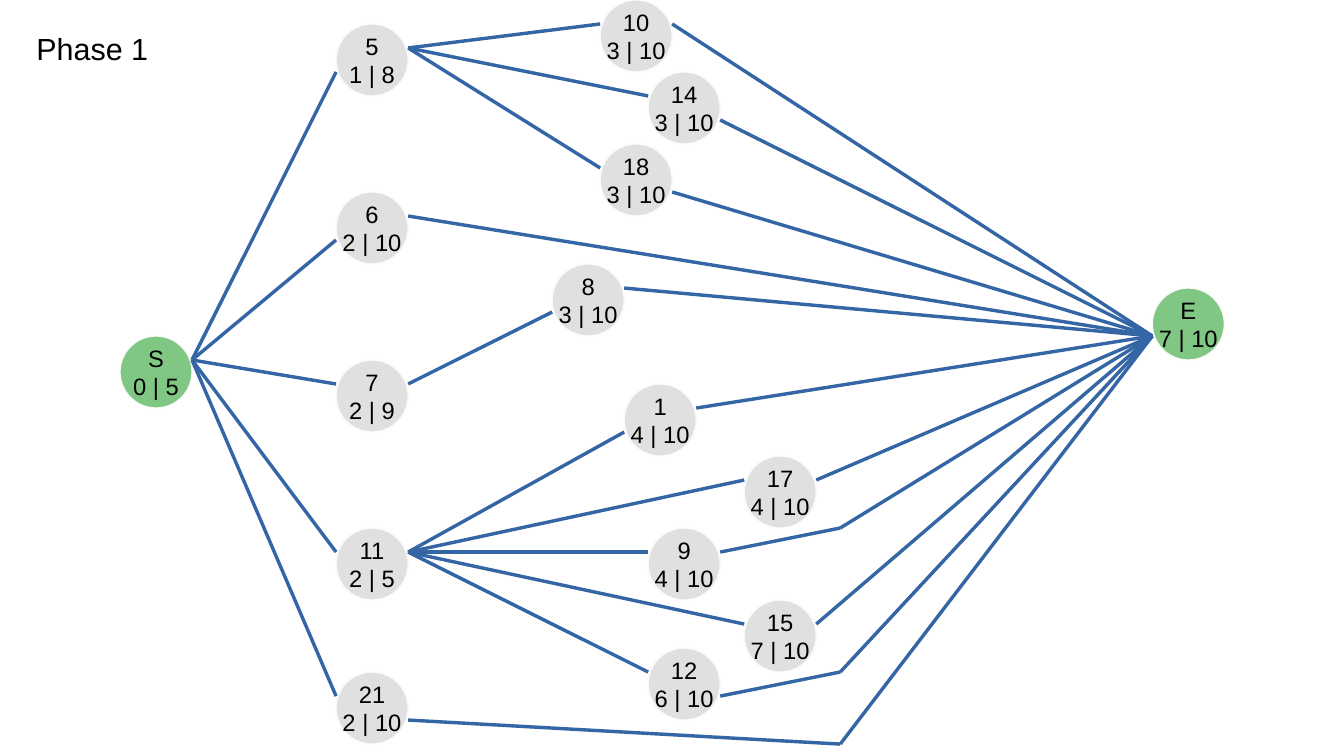
from lxml import etree
from pptx import Presentation
from pptx.dml.color import RGBColor
from pptx.enum.shapes import MSO_CONNECTOR, MSO_SHAPE
from pptx.enum.text import MSO_ANCHOR, PP_ALIGN
from pptx.oxml.ns import qn
from pptx.util import Inches, Pt

OVAL = MSO_SHAPE.OVAL
STRAIGHT = MSO_CONNECTOR.STRAIGHT
MIDDLE = MSO_ANCHOR.MIDDLE
CENTER = PP_ALIGN.CENTER

FONT = "Arial"
GRID = 0.5 / 2.54
DIAMETER = 3
BEND_COL = 35
GREEN, GREY, EDGE, OUTLINE, BLACK = "81C784", "E0E0E0", "3465A4", "FAFAFA", "000000"

# name: (values, column, row, entry offset, exit offset)
NODES = {
    "S": ("0 | 5", 5, 14, 1, 1),
    "5": ("1 | 8", 14, 1, 2, 1),
    "6": ("2 | 10", 14, 8, 2, 1),
    "7": ("2 | 9", 14, 15, 1, 1),
    "11": ("2 | 5", 14, 22, 1, 1),
    "21": ("2 | 10", 14, 28, 1, 2),
    "10": ("3 | 10", 25, 0, 1, 1),
    "14": ("3 | 10", 27, 3, 1, 2),
    "18": ("3 | 10", 25, 6, 1, 2),
    "8": ("3 | 10", 23, 11, 2, 1),
    "1": ("4 | 10", 26, 16, 2, 1),
    "12": ("6 | 10", 27, 27, 1, 2),
    "9": ("4 | 10", 27, 22, 1, 1),
    "17": ("4 | 10", 31, 19, 1, 1),
    "15": ("7 | 10", 31, 25, 1, 1),
    "E": ("7 | 10", 48, 12, 2, 2),
}
SUCCESSORS = {
    "S": ["5", "6", "7", "11", "21"],
    "5": ["10", "14", "18"],
    "7": ["8"],
    "11": ["1", "17", "9", "15", "12"],
}
BEND_ROWS = {"9": 22, "12": 28, "21": 31}


def rgb(value):
    return RGBColor.from_string(value)


def set_font(p, size):
    p.font.name = FONT
    p.font.size = Pt(size)
    p.font.color.rgb = rgb(BLACK)


def add_title(s, x, y, w, h, text):
    tf = s.shapes.add_textbox(Inches(x), Inches(y), Inches(w), Inches(h)).text_frame
    tf.word_wrap = True
    tf.text = text
    set_font(tf.paragraphs[0], 18)


def add_node(s, x, y, size, name, values, fill):
    sp = s.shapes.add_shape(OVAL, Inches(x), Inches(y), Inches(size), Inches(size))
    sp.shadow.inherit = False
    sp.fill.solid()
    sp.fill.fore_color.rgb = rgb(fill)
    sp.line.color.rgb = rgb(OUTLINE)
    sp.line.width = Pt(0)
    tf = sp.text_frame
    tf.word_wrap = False
    tf.vertical_anchor = MIDDLE
    tf.text = f"{name}\n{values}"
    for p in tf.paragraphs:
        p.alignment = CENTER
        set_font(p, 14)


def add_edge(s, x, y, points):
    for (x1, y1), (x2, y2) in zip(points, points[1:]):
        line = s.shapes.add_connector(
            STRAIGHT, Inches(x + x1 * GRID), Inches(y + y1 * GRID),
            Inches(x + x2 * GRID), Inches(y + y2 * GRID))
        line.line.color.rgb = rgb(EDGE)
        line.line.width = Pt(0)
        etree.SubElement(line._element.spPr, qn("a:effectLst"))


def entry_port(name):
    _, col, row, entry, _ = NODES[name]
    return col, row + entry


def exit_port(name):
    _, col, row, _, leave = NODES[name]
    return col + DIAMETER, row + leave


def add_network(s, x, y):
    for name, (values, col, row, _, _) in NODES.items():
        fill = GREEN if name in ("S", "E") else GREY
        add_node(s, x + col * GRID, y + row * GRID, DIAMETER * GRID, name, values, fill)
    for name in NODES:
        if name == "E":
            continue
        for target in SUCCESSORS.get(name, ["E"]):
            points = [exit_port(name), entry_port(target)]
            if name in BEND_ROWS:
                points.insert(1, (BEND_COL, BEND_ROWS[name]))
            add_edge(s, x, y, points)


def main():
    prs = Presentation()
    prs.slide_width = Inches(11.02)
    prs.slide_height = Inches(6.2)
    s = prs.slides.add_slide(prs.slide_layouts[6])
    add_network(s, 0, 0)
    add_title(s, 0.2, 0.2, 1.97, 0.38, "Phase 1")
    prs.save("out.pptx")


if __name__ == "__main__":
    main()
